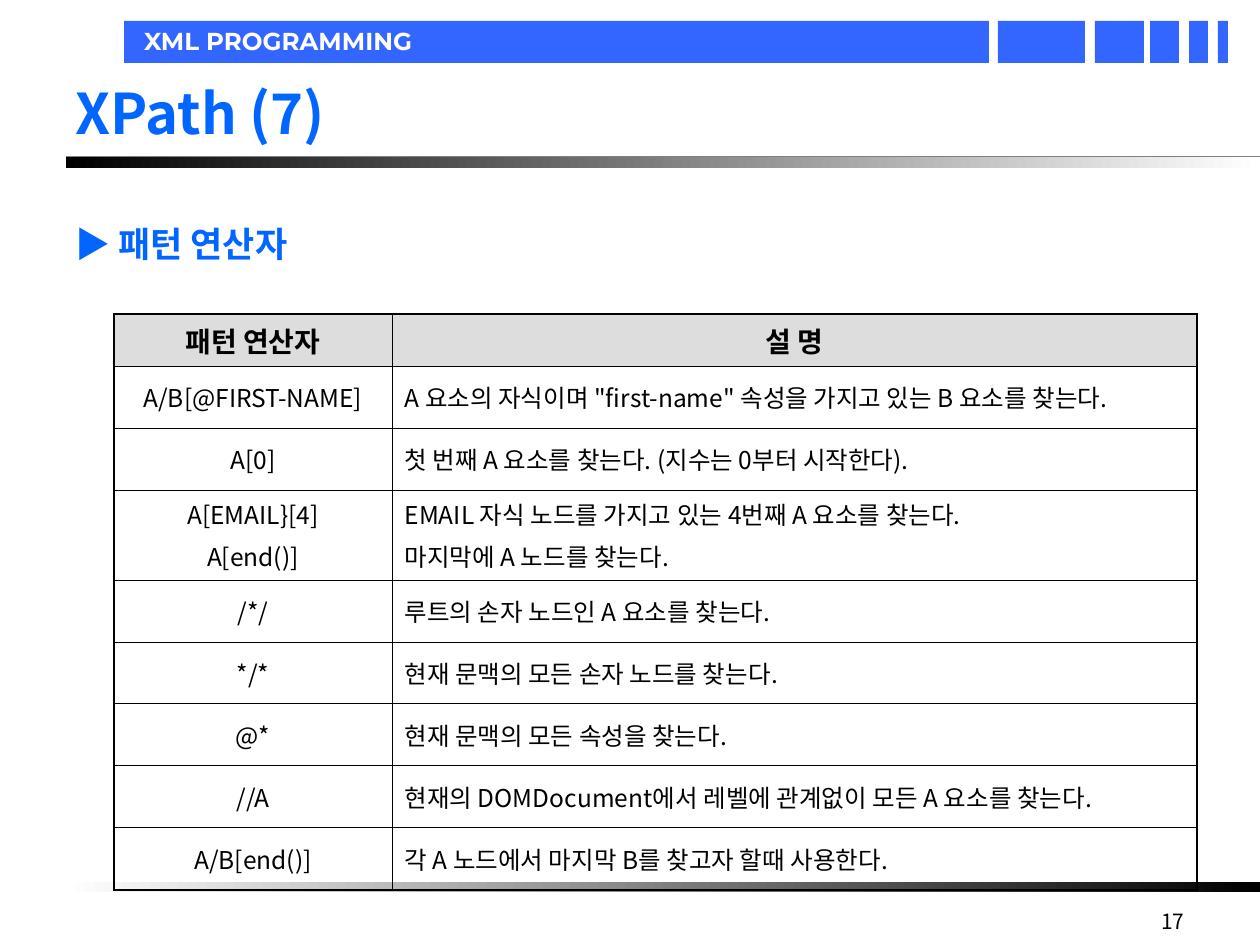
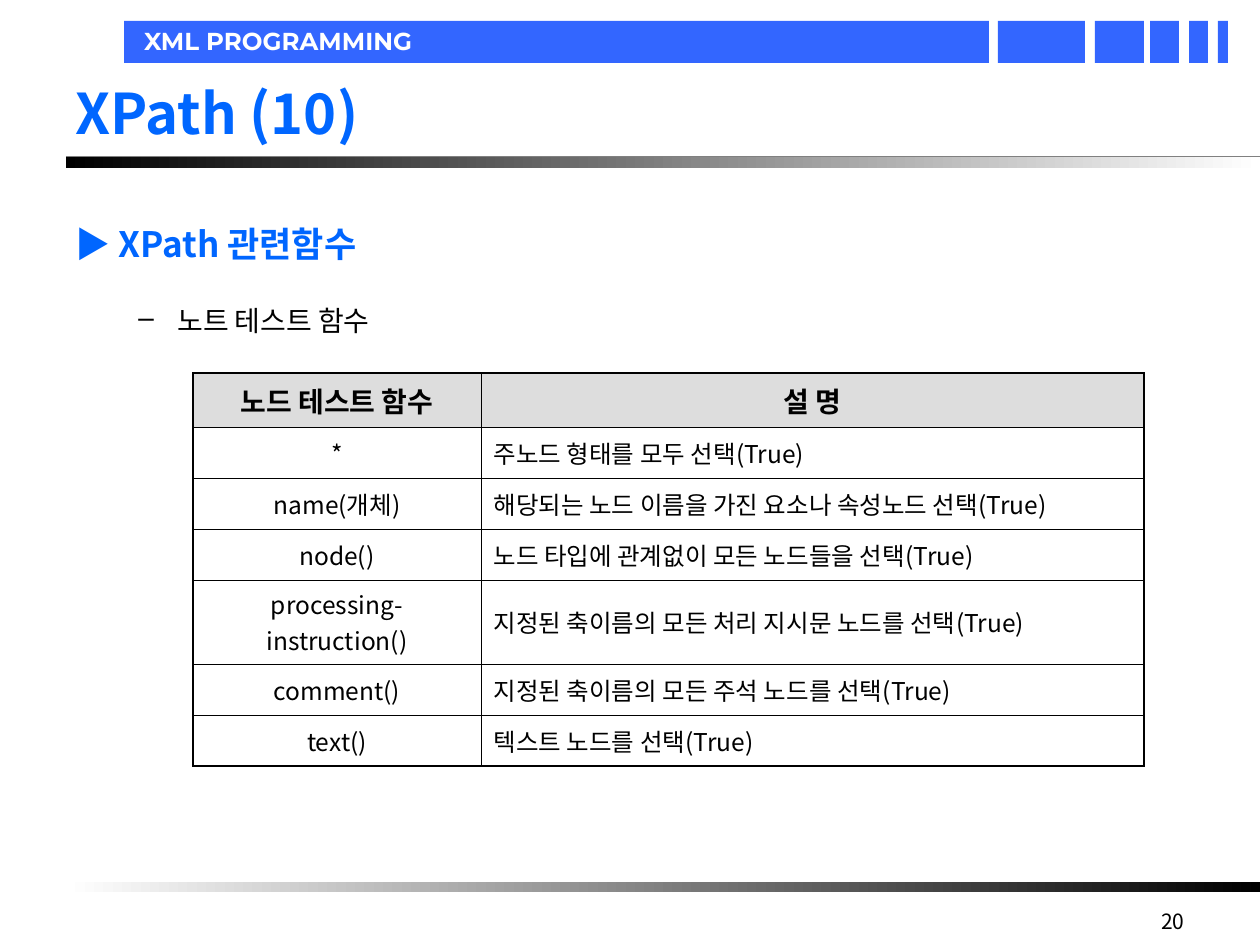
from lxml import etree
from pptx import Presentation, util as u
from pptx.dml.color import RGBColor
from pptx.enum import dml, shapes, text
from pptx.oxml.ns import qn

COLORS = {"band": "3366FF", "accent": "0066FF", "ink": "000000",
          "paper": "FFFFFF", "rule": "808080", "header": "DDDDDD"}
KOREAN, BRAND, LATIN = "Noto Sans CJK KR", "Montserrat", "DejaVu Sans"
COURSE = "XML PROGRAMMING"
BAND_BLOCKS = [(998, 87), (1095, 49), (1150, 29), (1189, 19), (1218, 10), (124, 865)]
OUTER_PT, INNER_PT = 1.08, 0.45

LESSONS = [
    {
        "title": "XPath (7)", "page": "17",
        "topic": "패턴 연산자", "subtopic": None,
        "origin": (114, 314), "columns": (278, 805), "header_font": LATIN,
        "heights": [52, 62, 62, 90, 62, 62, 62, 62, 62],
        "rows": [
            ("패턴 연산자", "설 명"),
            ("A/B[@FIRST-NAME]", "A 요소의 자식이며 \"first-name\" 속성을 가지고 있는 B 요소를 찾는다."),
            ("A[0]", "첫 번째 A 요소를 찾는다. (지수는 0부터 시작한다)."),
            ("A[EMAIL}[4]\nA[end()]",
             "EMAIL 자식 노드를 가지고 있는 4번째 A 요소를 찾는다.\n마지막에 A 노드를 찾는다."),
            ("/*/", "루트의 손자 노드인 A 요소를 찾는다."),
            ("*/*", "현재 문맥의 모든 손자 노드를 찾는다."),
            ("@*", "현재 문맥의 모든 속성을 찾는다."),
            ("//A", "현재의 DOMDocument에서 레벨에 관계없이 모든 A 요소를 찾는다."),
            ("A/B[end()]", "각 A 노드에서 마지막 B를 찾고자 할때 사용한다."),
        ],
    },
    {
        "title": "XPath (10)", "page": "20",
        "topic": "XPath 관련함수", "subtopic": "노트 테스트 함수",
        "origin": (193, 373), "columns": (288, 663), "header_font": KOREAN,
        "heights": [54, 51, 51, 51, 84, 51, 51],
        "rows": [
            ("노드 테스트 함수", "설 명"),
            ("*", "주노드 형태를 모두 선택(True)"),
            ("name(개체)", "해당되는 노드 이름을 가진 요소나 속성노드 선택(True)"),
            ("node()", "노드 타입에 관계없이 모든 노드들을 선택(True)"),
            ("processing-instruction()", "지정된 축이름의 모든 처리 지시문 노드를 선택(True)"),
            ("comment()", "지정된 축이름의 모든 주석 노드를 선택(True)"),
            ("text()", "텍스트 노드를 선택(True)"),
        ],
    },
]


def px(length):
    return u.Emu(round(length * 914400 / 126))


def rgb(color):
    return RGBColor.from_string(COLORS[color])


def add_run(paragraph, words, size, color="ink", bold=False, font=KOREAN):
    run = paragraph.add_run()
    run.text = words
    run.font.size = u.Pt(size)
    run.font.bold = bold
    run.font.color.rgb = rgb(color)
    run.font.name = font
    etree.SubElement(run.font._element, qn("a:ea"), typeface=KOREAN)


def add_frame(slide, left, top, width, height, middle=False):
    frame = slide.shapes.add_textbox(px(left), px(top), px(width), px(height)).text_frame
    frame.word_wrap = True
    frame.vertical_anchor = text.MSO_ANCHOR.MIDDLE if middle else text.MSO_ANCHOR.TOP
    return frame


def add_bar(slide, left, top, width, height, *colors):
    bar = slide.shapes.add_shape(shapes.MSO_SHAPE.RECTANGLE, px(left), px(top), px(width), px(height))
    bar.shadow.inherit = False
    bar.line.fill.background()
    if len(colors) == 1:
        bar.fill.solid()
        bar.fill.fore_color.rgb = rgb(colors[0])
        return
    bar.fill.gradient()
    bar.fill.gradient_angle = 0
    for stop, position, color in zip(bar.fill.gradient_stops, (0, 1), colors):
        stop.position = position
        stop.color.rgb = rgb(color)


def add_page_furniture(slide, page):
    for left, width in BAND_BLOCKS:
        add_bar(slide, left, 21, width, 42, "band")
    course = add_frame(slide, 144, 26, 635, 29, middle=True)
    course.margin_left = course.margin_right = course.margin_top = course.margin_bottom = 0
    add_run(course.paragraphs[0], COURSE, 14, "paper", True, BRAND)

    rule = slide.shapes.add_connector(shapes.MSO_CONNECTOR.STRAIGHT, px(66), px(157), px(1260), px(157))
    rule.line.color.rgb = rgb("rule")
    rule.line.width = u.Pt(1.5)
    etree.SubElement(rule._element.spPr, qn("a:effectLst"))
    add_bar(slide, 66, 157, 1194, 11, "ink", "paper")
    add_bar(slide, 66, 882, 1194, 10, "paper", "ink")

    number = add_frame(slide, 903, 902, 294, 37).paragraphs[0]
    number.alignment = text.PP_ALIGN.RIGHT
    add_run(number, page, 12)


def add_headings(slide, lesson):
    title = add_frame(slide, 63, 38, 1134, 157, middle=True).paragraphs[0]
    title.line_spacing = 0.9
    add_run(title, lesson["title"], 32, "accent", True)

    body = add_frame(slide, 63, 221, 1143, 624)
    topic = body.paragraphs[0]
    topic.line_spacing = 0.9
    add_run(topic, "▶ ", 20, "accent")
    add_run(topic, lesson["topic"], 20, "accent", True)
    if lesson["subtopic"]:
        subtopic = body.add_paragraph()
        subtopic.line_spacing = 0.9
        subtopic.space_before = u.Pt(24)
        properties = subtopic._p.get_or_add_pPr()
        properties.set("marL", str(px(102)))
        properties.set("indent", str(px(-39)))
        etree.SubElement(properties, qn("a:buChar"), char="–")
        add_run(subtopic, lesson["subtopic"], 16)


def add_borders(cell, outer_sides):
    properties = cell._tc.get_or_add_tcPr()
    for side in "LRTB":
        weight = OUTER_PT if side in outer_sides else INNER_PT
        border = etree.SubElement(properties, qn("a:ln" + side), w=str(u.Pt(weight)))
        fill = etree.SubElement(border, qn("a:solidFill"))
        etree.SubElement(fill, qn("a:srgbClr"), val=COLORS["ink"])


def fill_cell(cell, words, is_header, centred, header_font):
    cell.vertical_anchor = text.MSO_ANCHOR.MIDDLE
    if is_header:
        cell.fill.solid()
        cell.fill.fore_color.rgb = rgb("header")
    else:
        cell.fill.background()
    for index, line in enumerate(words.split("\n")):
        paragraph = cell.text_frame.add_paragraph() if index else cell.text_frame.paragraphs[0]
        paragraph.alignment = text.PP_ALIGN.CENTER if centred else text.PP_ALIGN.LEFT
        if index:
            paragraph.space_before = u.Pt(3.5)
        if is_header:
            add_run(paragraph, line, 16, bold=True, font=header_font)
        else:
            add_run(paragraph, line, 14)


def add_reference_table(slide, lesson):
    rows, columns, heights = lesson["rows"], lesson["columns"], lesson["heights"]
    left, top = lesson["origin"]
    table = slide.shapes.add_table(len(rows), len(columns), px(left), px(top),
                                   px(sum(columns)), px(sum(heights))).table
    table.first_row = table.horz_banding = False
    for column, width in zip(table.columns, columns):
        column.width = px(width)
    for r, (row, height) in enumerate(zip(rows, heights)):
        table.rows[r].height = px(height)
        for c, words in enumerate(row):
            outer_sides = "LR"[c] + ("T" if r == 0 else "") + ("B" if r == len(rows) - 1 else "")
            cell = table.cell(r, c)
            add_borders(cell, outer_sides)
            fill_cell(cell, words, r == 0, r == 0 or c == 0, lesson["header_font"])


def main():
    deck = Presentation()
    deck.slide_width, deck.slide_height = px(1260), px(945)
    for lesson in LESSONS:
        slide = deck.slides.add_slide(deck.slide_layouts[6])
        add_page_furniture(slide, lesson["page"])
        add_headings(slide, lesson)
        add_reference_table(slide, lesson)
    deck.save("out.pptx")


if __name__ == "__main__":
    main()
